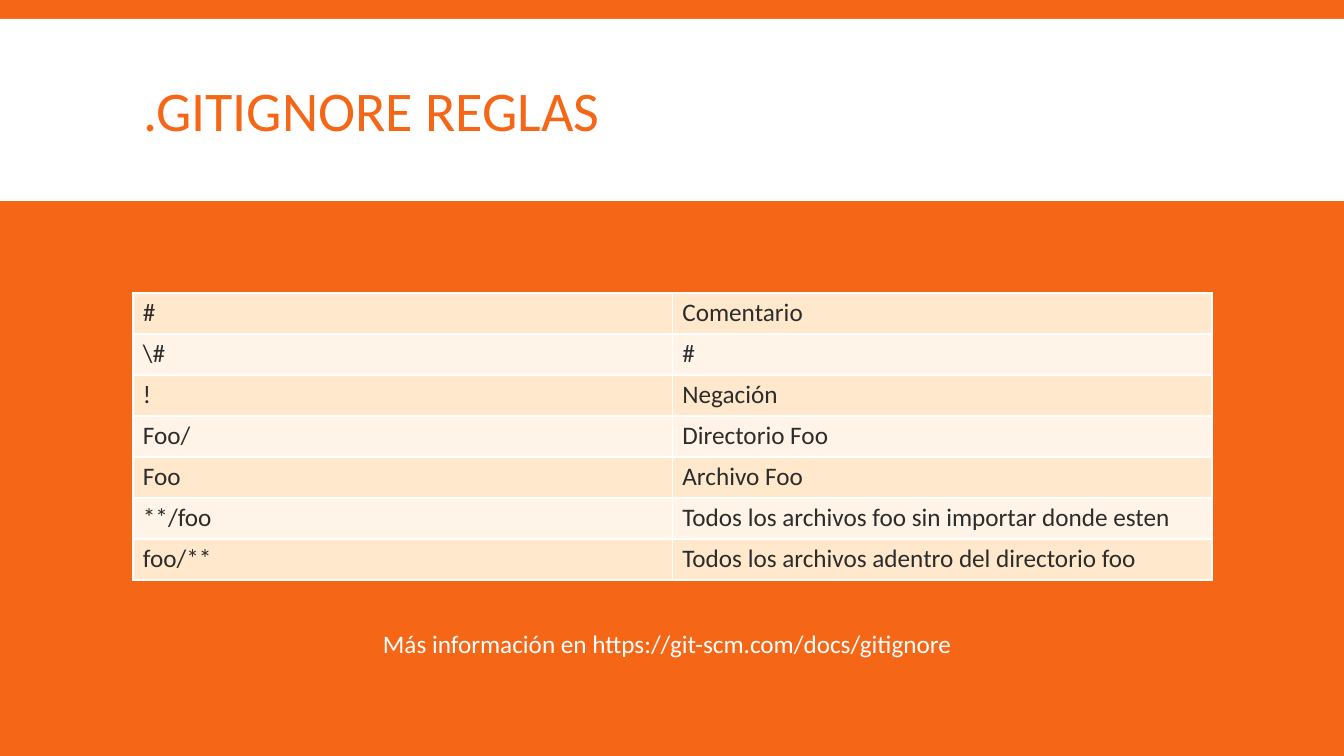
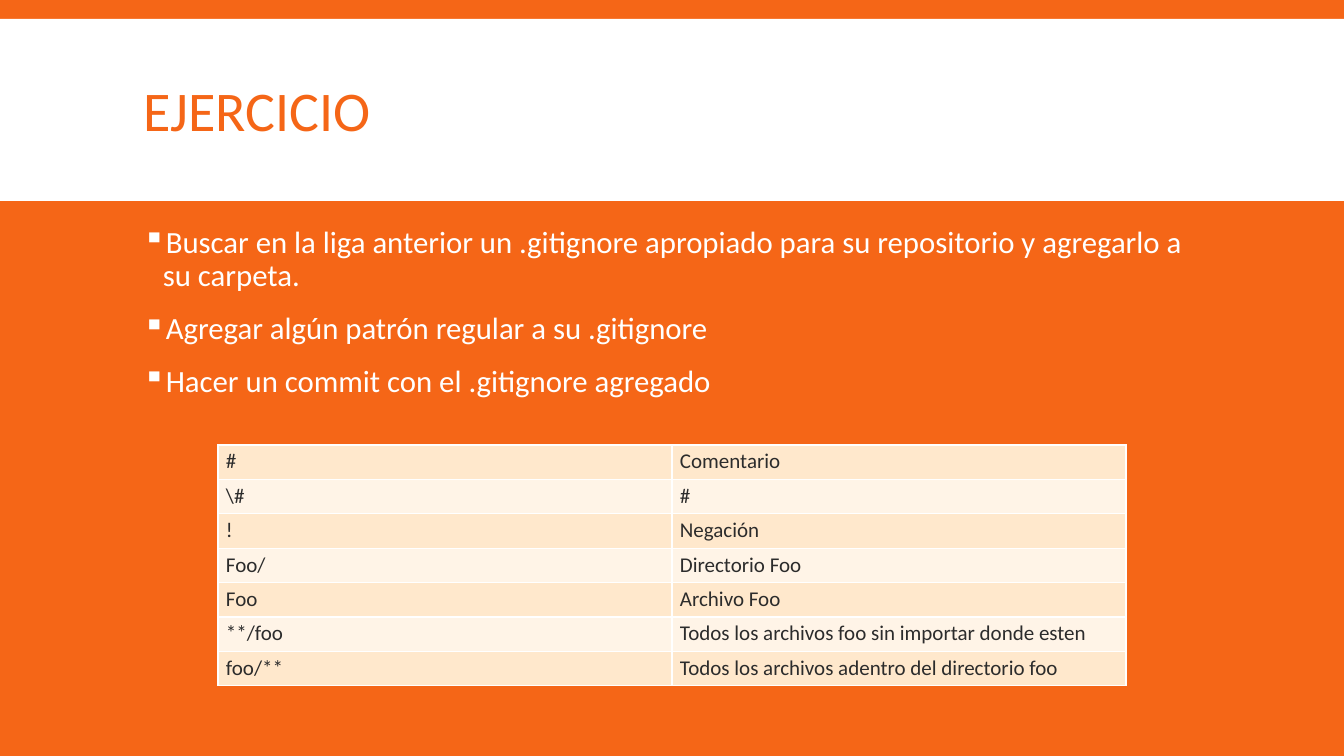
from dataclasses import dataclass
from typing import NamedTuple

from lxml import etree
from pptx import Presentation
from pptx.dml.color import RGBColor
from pptx.enum.shapes import MSO_SHAPE
from pptx.enum.text import MSO_ANCHOR, MSO_AUTO_SIZE, PP_ALIGN
from pptx.oxml.ns import qn
from pptx.util import Emu, Pt

RECTANGLE = MSO_SHAPE.RECTANGLE
MIDDLE = MSO_ANCHOR.MIDDLE
NO_AUTOFIT = MSO_AUTO_SIZE.NONE
LEFT = PP_ALIGN.LEFT
PX_PER_INCH = 100.8
TITLE_ONLY = 5


@dataclass(frozen=True)
class Theme:
    """Colours, font and type sizes of the deck."""
    orange: str = "F56617"
    white: str = "FFFFFF"
    ink: str = "2C2C2C"
    rows: tuple = ("FFE8CC", "FFF4E7")
    font: str = "Calibri"
    title: int = 40
    bullet: int = 22
    text: int = 18
    small: int = 15


class Box(NamedTuple):
    """A rectangle in px."""
    left: int
    top: int
    width: int
    height: int


THEME = Theme()
PAGE = Box(0, 0, 1344, 756)
BAND = Box(0, 19, 1344, 182)
TITLE = Box(133, 31, 1079, 166)
RULES = (
    ("#", "Comentario"),
    ("\\#", "#"),
    ("!", "Negación"),
    ("Foo/", "Directorio Foo"),
    ("Foo", "Archivo Foo"),
    ("**/foo", "Todos los archivos foo sin importar donde esten"),
    ("foo/**", "Todos los archivos adentro del directorio foo"),
)
TASKS = (
    "Buscar en la liga anterior un .gitignore apropiado para su repositorio y agregarlo a su carpeta.",
    "Agregar algún patrón regular a su .gitignore",
    "Hacer un commit con el .gitignore agregado",
)


def px(length):
    """Turn px into EMU."""
    return Emu(round(length * 914400 / PX_PER_INCH))


def place(box):
    """Return the four EMU lengths of a box."""
    return [px(length) for length in box]


def rgb(colour):
    """Return a colour from its hex digits."""
    return RGBColor.from_string(colour)


def style(paragraph, size, colour):
    """Set the font of a paragraph."""
    font = paragraph.font
    font.name = THEME.font
    font.size = Pt(size)
    font.color.rgb = rgb(colour)


def add_solid(parent, tag, colour):
    """Append an element that holds one colour."""
    holder = etree.SubElement(parent, qn(tag))
    etree.SubElement(holder, qn("a:srgbClr"), val=colour)


def add_bullet(paragraph, indent):
    """Give a paragraph a hanging square bullet."""
    properties = paragraph._p.get_or_add_pPr()
    properties.set("marL", str(px(indent)))
    properties.set("indent", str(-px(indent)))
    add_solid(properties, "a:buClr", THEME.white)
    etree.SubElement(properties, qn("a:buChar"), char="▪")


def add_borders(cell):
    """Draw a thin white border round a cell."""
    properties = cell._tc.get_or_add_tcPr()
    for index, side in enumerate(("a:lnL", "a:lnR", "a:lnT", "a:lnB")):
        line = etree.Element(qn(side), w=str(Pt(1)))
        add_solid(line, "a:solidFill", THEME.white)
        properties.insert(index, line)


def add_titled_slide(presentation, text):
    """Add a slide with the white band and its title."""
    slide = presentation.slides.add_slide(presentation.slide_layouts[TITLE_ONLY])
    band = slide.shapes.add_shape(RECTANGLE, *place(BAND))
    band.shadow.inherit = False
    band.fill.solid()
    band.fill.fore_color.rgb = rgb(THEME.white)
    band.line.fill.background()

    title = slide.shapes.title
    title.element.addprevious(band.element)
    title.left, title.top, title.width, title.height = place(TITLE)
    frame = title.text_frame
    frame.text = text
    frame.auto_size = NO_AUTOFIT
    frame.vertical_anchor = MIDDLE
    paragraph = frame.paragraphs[0]
    paragraph.alignment = LEFT
    paragraph.line_spacing = 0.85
    style(paragraph, THEME.title, THEME.orange)
    return slide


def add_rules_table(slide, box, size, margin):
    """Add the table of rules with equal rows and columns."""
    table = slide.shapes.add_table(len(RULES), len(RULES[0]), *place(box)).table
    table.first_row = table.horz_banding = False
    for row, texts in enumerate(RULES):
        for column, text in enumerate(texts):
            cell = table.cell(row, column)
            cell.text = text
            cell.margin_left = cell.margin_right = px(margin)
            cell.margin_top = cell.margin_bottom = px(margin // 2)
            cell.fill.solid()
            cell.fill.fore_color.rgb = rgb(THEME.rows[row % 2])
            add_borders(cell)
            style(cell.text_frame.paragraphs[0], size, THEME.ink)


def add_link_line(slide, box, text):
    """Add the line that points to more information."""
    frame = slide.shapes.add_textbox(*place(box)).text_frame
    frame.word_wrap = False
    frame.text = text
    style(frame.paragraphs[0], THEME.text, THEME.white)


def add_task_list(slide, box):
    """Add the bulleted tasks."""
    frame = slide.shapes.add_textbox(*place(box)).text_frame
    frame.word_wrap = True
    frame.text = "\n".join(TASKS)
    for paragraph in frame.paragraphs:
        paragraph.line_spacing = 0.9
        paragraph.space_before = Pt(12)
        paragraph.space_after = Pt(2)
        add_bullet(paragraph, 20)
        style(paragraph, THEME.bullet, THEME.white)


def build_rules_slide(presentation):
    """Build the slide of ignore rules."""
    slide = add_titled_slide(presentation, ".GITIGNORE REGLAS")
    add_rules_table(slide, Box(133, 293, 1079, 287), THEME.text, 10)
    add_link_line(slide, Box(373, 623, 598, 40),
                  "Más información en https://git-scm.com/docs/gitignore")


def build_exercise_slide(presentation):
    """Build the exercise slide."""
    slide = add_titled_slide(presentation, "EJERCICIO")
    add_task_list(slide, Box(133, 222, 1079, 464))
    add_rules_table(slide, Box(218, 445, 908, 241), THEME.small, 8)


def main():
    """Build and save the deck."""
    presentation = Presentation()
    presentation.slide_width, presentation.slide_height = place(PAGE)[2:]
    background = presentation.slide_master.background.fill
    background.solid()
    background.fore_color.rgb = rgb(THEME.orange)
    build_rules_slide(presentation)
    build_exercise_slide(presentation)
    presentation.save("out.pptx")


if __name__ == "__main__":
    main()
